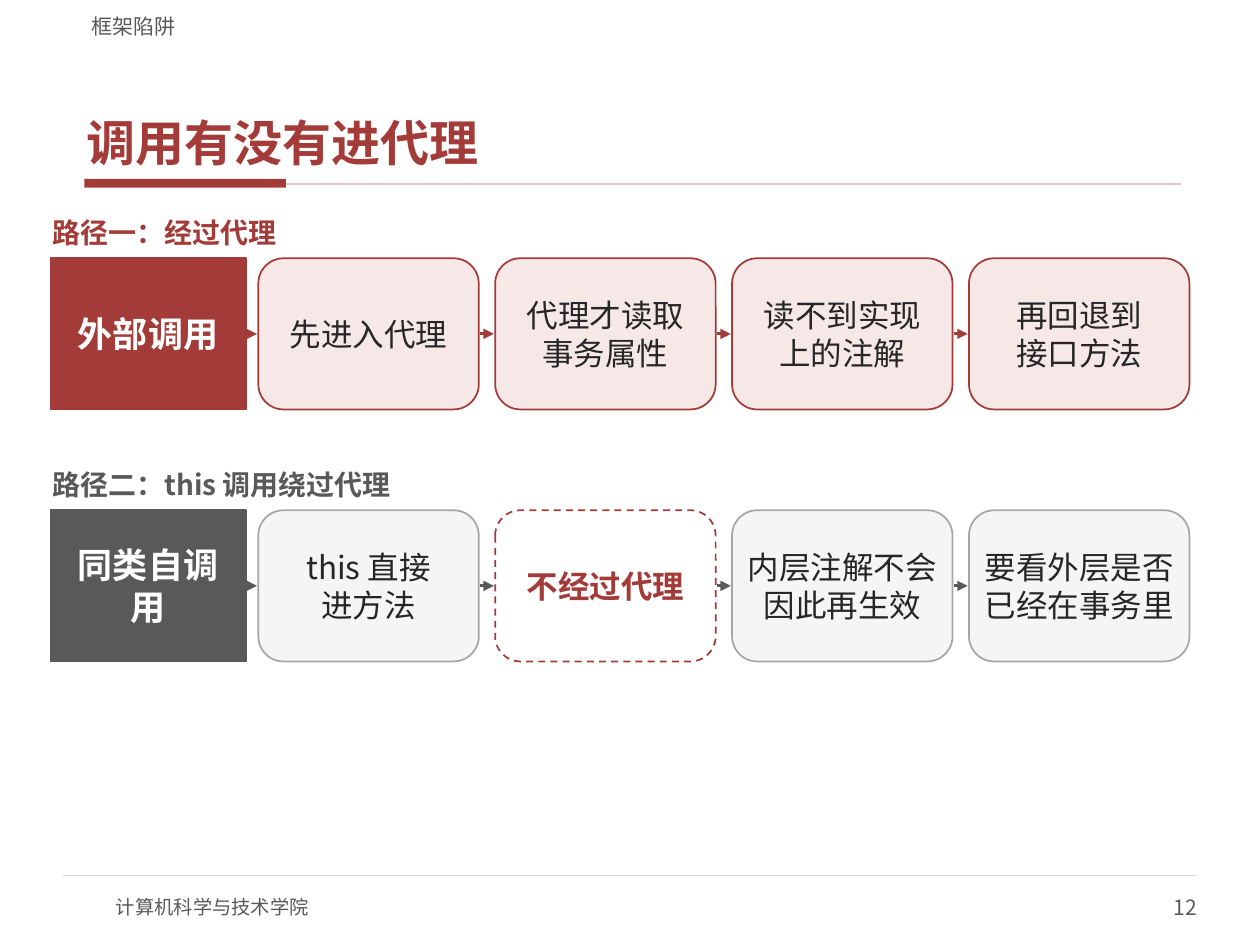
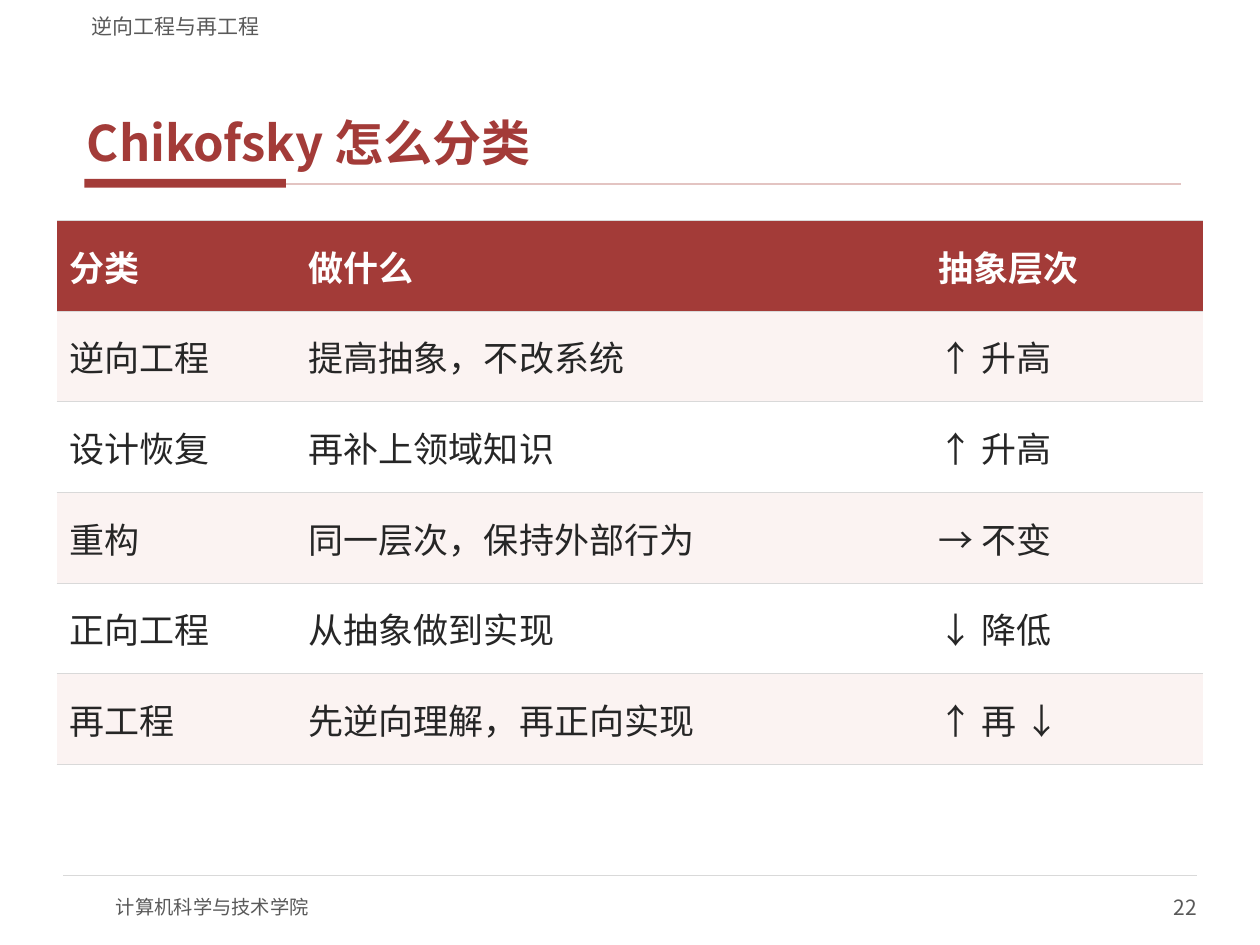
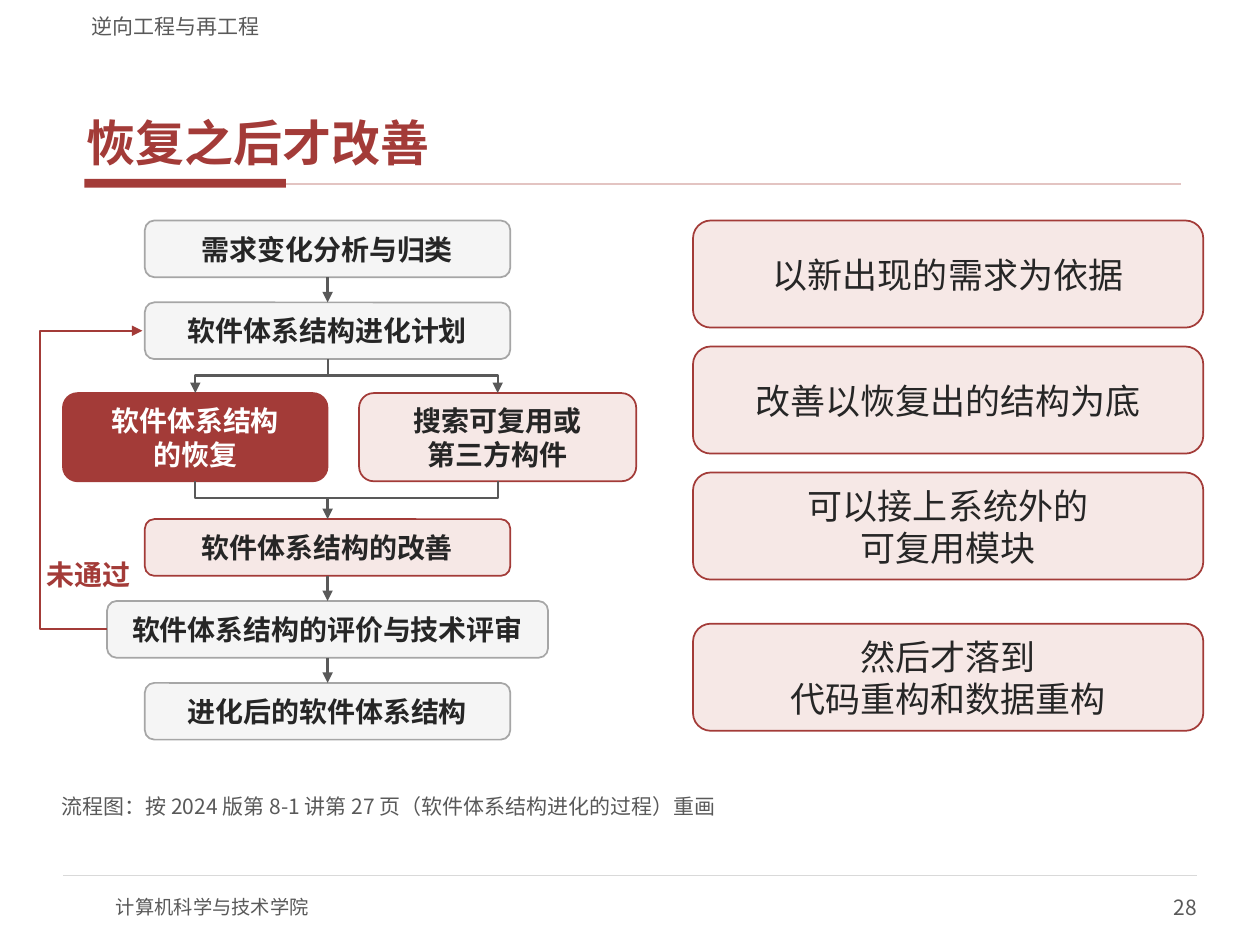
from lxml import etree
from pptx import Presentation
from pptx.dml.color import RGBColor
from pptx.enum.dml import MSO_LINE
from pptx.enum.shapes import MSO_CONNECTOR, MSO_SHAPE
from pptx.enum.text import MSO_ANCHOR, PP_ALIGN
from pptx.oxml.ns import qn
from pptx.util import Inches, Pt

RED = RGBColor(0xA3, 0x3B, 0x38)
ROSE = RGBColor(0xE3, 0xC4, 0xC2)
PINK = RGBColor(0xF6, 0xE8, 0xE6)
PALE_PINK = RGBColor(0xFB, 0xF3, 0xF2)
WHITE = RGBColor(0xFF, 0xFF, 0xFF)
INK = RGBColor(0x26, 0x26, 0x26)
GRAY = RGBColor(0x59, 0x59, 0x59)
MID_GRAY = RGBColor(0xA6, 0xA6, 0xA6)
RULE_GRAY = RGBColor(0xD9, 0xD9, 0xD9)
LIGHT_GRAY = RGBColor(0xF5, 0xF5, 0xF5)

FONT = "Noto Sans CJK SC"
RECTANGLE, ROUNDED = MSO_SHAPE.RECTANGLE, MSO_SHAPE.ROUNDED_RECTANGLE
STRAIGHT = MSO_CONNECTOR.STRAIGHT
DASH = MSO_LINE.DASH
MIDDLE, BOTTOM = MSO_ANCHOR.MIDDLE, MSO_ANCHOR.BOTTOM
LEFT, CENTER, RIGHT = PP_ALIGN.LEFT, PP_ALIGN.CENTER, PP_ALIGN.RIGHT

# Fill, outline and text colour of each kind of box
NEUTRAL = (LIGHT_GRAY, MID_GRAY, INK)
TINTED = (PINK, RED, INK)
SOLID_RED = (RED, RED, WHITE)
SOLID_GRAY = (GRAY, GRAY, WHITE)
BYPASSED = (WHITE, RED, RED)


def write_text(frame, text, *, size, color=INK, bold=False, align=LEFT, space_after=0):
    paragraph = frame.paragraphs[0]
    paragraph.text = text
    paragraph.alignment = align
    paragraph.space_after = Pt(space_after)
    for run in paragraph.runs:
        font = run.font
        font.name, font.size, font.bold = FONT, Pt(size), bold
        font.color.rgb = color
        etree.SubElement(font._element, qn("a:ea"), typeface=FONT)


def set_frame(frame, anchor, inset_x, inset_y):
    frame.word_wrap = True
    frame.vertical_anchor = anchor
    frame.margin_left = frame.margin_right = Inches(inset_x)
    frame.margin_top = frame.margin_bottom = Inches(inset_y)


def add_text(slide, box, text, *, anchor=MIDDLE, inset=(0, 0), **text_format):
    frame = slide.shapes.add_textbox(*map(Inches, box)).text_frame
    set_frame(frame, anchor, *inset)
    write_text(frame, text, **text_format)


def add_box(slide, box, text, colors, *, kind=ROUNDED, inset, dash=None, **text_format):
    fill, outline, color = colors
    shape = slide.shapes.add_shape(kind, *map(Inches, box))
    shape.shadow.inherit = False
    shape.fill.solid()
    shape.fill.fore_color.rgb = fill
    shape.line.color.rgb = outline
    shape.line.width = Pt(1)
    if dash:
        shape.line.dash_style = dash
    set_frame(shape.text_frame, MIDDLE, *inset)
    write_text(shape.text_frame, text, color=color, align=CENTER, **text_format)


def add_line(slide, points, color, width, arrow=False):
    """Draw a connector through two points, or an open outline through more."""
    start, *others = [(Inches(x), Inches(y)) for x, y in points]
    if len(others) == 1:
        shape = slide.shapes.add_connector(STRAIGHT, *start, *others[0])
    else:
        builder = slide.shapes.build_freeform(*start)
        builder.add_line_segments(others, close=False)
        shape = builder.convert_to_shape()
        shape.fill.background()
    shape.line.color.rgb = color
    shape.line.width = Pt(width)
    properties = shape._element.spPr
    if arrow:
        etree.SubElement(properties.find(qn("a:ln")), qn("a:tailEnd"), type="triangle")
    etree.SubElement(properties, qn("a:effectLst"))


def add_slide(presentation, section, title, number):
    """Add a slide with the shared header, title rule and footer."""
    slide = presentation.slides.add_slide(presentation.slide_layouts[6])
    bar = slide.shapes.add_shape(RECTANGLE, *map(Inches, (0.67, 1.42, 1.6, 0.07)))
    bar.shadow.inherit = False
    bar.fill.solid()
    bar.fill.fore_color.rgb = RED
    bar.line.fill.background()
    add_line(slide, [(2.27, 1.46), (9.37, 1.46)], ROSE, 1)
    add_line(slide, [(0.5, 6.95), (9.5, 6.95)], RULE_GRAY, 0.75)
    add_text(slide, (0.92, 7, 4, 0.4), "计算机科学与技术学院", size=11, color=GRAY)
    add_text(slide, (7.5, 7, 2, 0.4), str(number), size=12, color=GRAY, align=RIGHT)
    add_text(slide, (0.63, 0.33, 8.75, 1.05), title, anchor=BOTTOM, inset=(0.06, 0.02),
             size=28, color=RED, bold=True, space_after=2)
    add_text(slide, (0.63, 0.04, 8.75, 0.27), section, anchor=BOTTOM, inset=(0.1, 0),
             size=12, color=GRAY)
    return slide


def add_call_path(slide, left, top, heading, caller, caller_colors, steps, bypassed=None):
    """Draw a heading above a caller box and its chain of steps."""
    color = caller_colors[0]
    height, pitch = 1.2, 1.88
    row_top = top + 0.37
    middle = row_top + height / 2
    step_colors = TINTED if color == RED else NEUTRAL
    add_text(slide, (left, top, 4, 0.32), heading, inset=(0.02, 0.01),
             size=16, color=color, bold=True)
    add_box(slide, (left, row_top, 1.55, height), caller, caller_colors, kind=RECTANGLE,
            inset=(0.08, 0.04), size=20, bold=True)
    for index, step in enumerate(steps):
        step_left = left + 1.65 + index * pitch
        skipped = index == bypassed
        add_box(slide, (step_left, row_top, 1.75, height), step,
                BYPASSED if skipped else step_colors, inset=(0.05, 0.03),
                dash=DASH if skipped else None, size=18, bold=skipped)
        add_line(slide, [(step_left - 0.12, middle), (step_left - 0.01, middle)],
                 color, 1.75, arrow=True)


def set_cell_borders(cell):
    properties = cell._tc.get_or_add_tcPr()
    for side in ("lnL", "lnR", "lnT", "lnB"):
        if side in ("lnL", "lnR"):
            border = etree.SubElement(properties, qn(f"a:{side}"), w="0")
            etree.SubElement(border, qn("a:noFill"))
        else:
            border = etree.SubElement(properties, qn(f"a:{side}"), w=str(Pt(0.75)))
            fill = etree.SubElement(border, qn("a:solidFill"))
            etree.SubElement(fill, qn("a:srgbClr"), val=str(RULE_GRAY))


def add_category_table(slide, left, top, widths, row_height, rows):
    frame = slide.shapes.add_table(len(rows), len(widths), Inches(left), Inches(top),
                                   Inches(sum(widths)), Inches(row_height * len(rows)))
    table = frame.table
    table.first_row = table.horz_banding = False
    for column, width in zip(table.columns, widths):
        column.width = Inches(width)
    for row_index, values in enumerate(rows):
        header = row_index == 0
        fill = RED if header else PALE_PINK if row_index % 2 else WHITE
        for column_index, value in enumerate(values):
            cell = table.cell(row_index, column_index)
            cell.vertical_anchor = MIDDLE
            set_cell_borders(cell)
            cell.fill.solid()
            cell.fill.fore_color.rgb = fill
            write_text(cell.text_frame, value, size=20, bold=header,
                       color=WHITE if header else INK)


def add_evolution_flow(slide, center, top):
    """Draw the evolution process around a vertical axis at center."""
    height, branch_height = 0.45, 0.7
    plan, branch, improve, review, result = (
        top + offset for offset in (0.65, 1.37, 2.37, 3.02, 3.67))
    left_axis, right_axis = center - 1.05, center + 1.35
    fork, join = branch - 0.14, branch + branch_height + 0.13
    review_width = 3.5

    nodes = [
        (center, top, 2.9, height, "需求变化分析与归类", NEUTRAL),
        (center, plan, 2.9, height, "软件体系结构进化计划", NEUTRAL),
        (left_axis, branch, 2.1, branch_height, "软件体系结构\n的恢复", SOLID_RED),
        (right_axis, branch, 2.2, branch_height, "搜索可复用或\n第三方构件", TINTED),
        (center, improve, 2.9, height, "软件体系结构的改善", TINTED),
        (center, review, review_width, height, "软件体系结构的评价与技术评审", NEUTRAL),
        (center, result, 2.9, height, "进化后的软件体系结构", NEUTRAL),
    ]
    for axis, node_top, width, node_height, text, colors in nodes:
        add_box(slide, (axis - width / 2, node_top, width, node_height), text, colors,
                inset=(0.04, 0.02), size=16, bold=True)

    for start, end in ((top + height, plan), (join, improve),
                       (improve + height, review), (review + height, result)):
        add_line(slide, [(center, start), (center, end)], GRAY, 1.75, arrow=True)
    add_line(slide, [(center, plan + height), (center, fork), (left_axis, fork),
                     (left_axis, branch)], GRAY, 1.25, arrow=True)
    add_line(slide, [(center, fork), (right_axis, fork), (right_axis, branch)],
             GRAY, 1.25, arrow=True)
    branch_bottom = branch + branch_height
    add_line(slide, [(left_axis, branch_bottom), (left_axis, join), (right_axis, join),
                     (right_axis, branch_bottom)], GRAY, 1.25)

    return_axis = center - 2.28
    review_middle, plan_middle = review + height / 2, plan + height / 2
    add_line(slide, [(center - review_width / 2, review_middle),
                     (return_axis, review_middle), (return_axis, plan_middle),
                     (center - 1.47, plan_middle)], RED, 1.25, arrow=True)
    add_text(slide, (return_axis + 0.03, improve + 0.28, 0.8, 0.32), "未通过",
             inset=(0.02, 0.01), size=16, color=RED, bold=True)


def add_key_points(slide, left, top, points):
    for offset, text in points:
        add_box(slide, (left, top + offset, 4.05, 0.85), text, TINTED,
                inset=(0.08, 0.04), size=20)


def build_proxy_slide(presentation):
    slide = add_slide(presentation, "框架陷阱", "调用有没有进代理", 12)
    add_call_path(slide, 0.4, 1.68, "路径一：经过代理", "外部调用", SOLID_RED,
                  ["先进入代理", "代理才读取\n事务属性", "读不到实现\n上的注解",
                   "再回退到\n接口方法"])
    add_call_path(slide, 0.4, 3.68, "路径二：this 调用绕过代理", "同类自调用", SOLID_GRAY,
                  ["this 直接\n进方法", "不经过代理", "内层注解不会\n因此再生效",
                   "要看外层是否\n已经在事务里"], bypassed=1)


def build_category_slide(presentation):
    slide = add_slide(presentation, "逆向工程与再工程", "Chikofsky 怎么分类", 22)
    add_category_table(slide, 0.45, 1.75, [1.9, 5, 2.2], 0.72, [
        ("分类", "做什么", "抽象层次"),
        ("逆向工程", "提高抽象，不改系统", "↑ 升高"),
        ("设计恢复", "再补上领域知识", "↑ 升高"),
        ("重构", "同一层次，保持外部行为", "→ 不变"),
        ("正向工程", "从抽象做到实现", "↓ 降低"),
        ("再工程", "先逆向理解，再正向实现", "↑ 再 ↓"),
    ])


def build_evolution_slide(presentation):
    slide = add_slide(presentation, "逆向工程与再工程", "恢复之后才改善", 28)
    add_evolution_flow(slide, 2.6, 1.75)
    add_key_points(slide, 5.5, 1.75, [
        (0, "以新出现的需求为依据"),
        (1, "改善以恢复出的结构为底"),
        (2, "可以接上系统外的\n可复用模块"),
        (3.2, "然后才落到\n代码重构和数据重构"),
    ])
    add_text(slide, (0.45, 6.3, 9.1, 0.22),
             "流程图：按 2024 版第 8-1 讲第 27 页（软件体系结构进化的过程）重画",
             anchor=BOTTOM, inset=(0.04, 0.02), size=12, color=GRAY)


def main():
    presentation = Presentation()
    presentation.slide_width = Inches(10)
    presentation.slide_height = Inches(7.5)
    build_proxy_slide(presentation)
    build_category_slide(presentation)
    build_evolution_slide(presentation)
    presentation.save("out.pptx")


if __name__ == "__main__":
    main()
